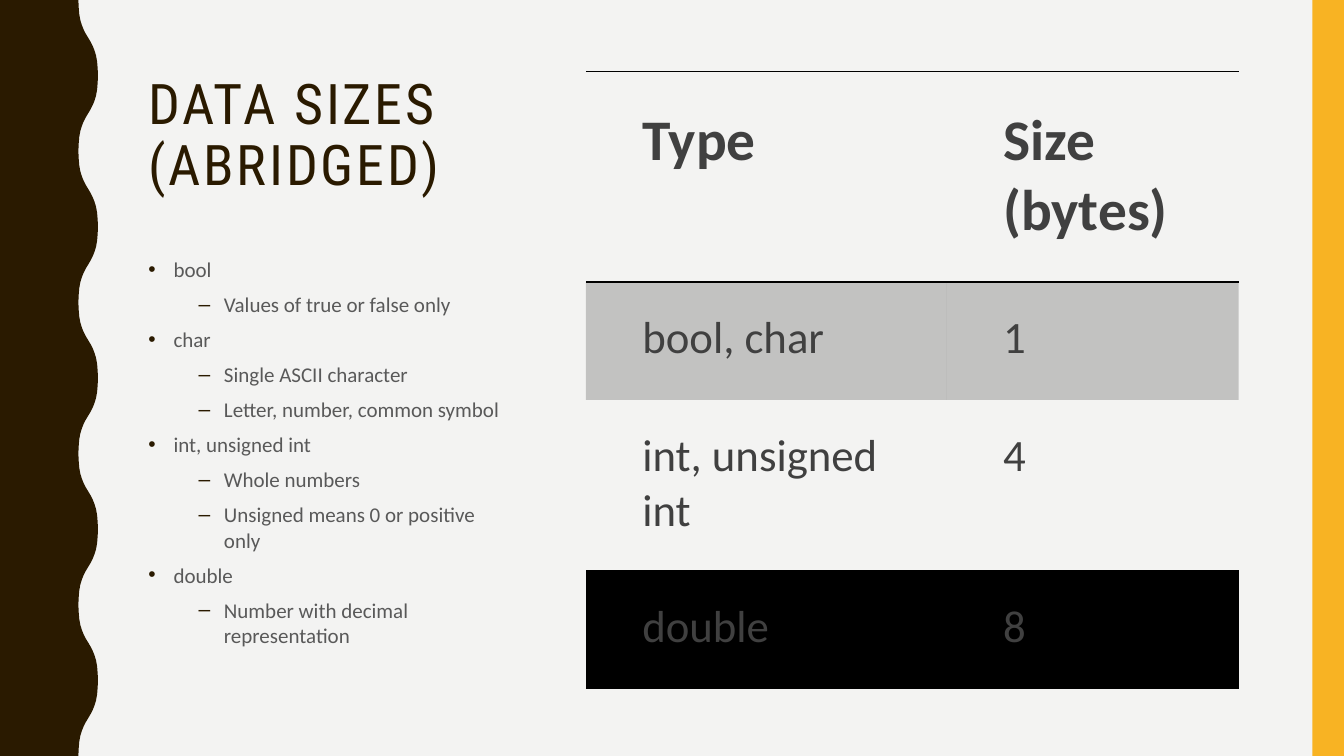
from lxml import etree
from pptx import Presentation
from pptx.dml.color import RGBColor
from pptx.enum import shapes, text
from pptx.oxml import ns
from pptx.util import Pt

PAPER = RGBColor(0xF3, 0xF3, 0xF2)
BROWN = RGBColor(0x2A, 0x1A, 0x00)
GOLD = RGBColor(0xF8, 0xB3, 0x23)
BODY_GREY = RGBColor(0x59, 0x59, 0x59)
TABLE_GREY = RGBColor(0x40, 0x40, 0x40)
BLACK = RGBColor(0, 0, 0)

PAGE_WIDTH, PAGE_HEIGHT = 960, 540
TITLE_FONT, BODY_FONT = "Roboto Condensed", "Calibri"
NO_STYLE = "{2D5ABB26-0587-4C30-8999-92F81FD0307C}"

NOTES = [
    ("bool", ["Values of true or false only"]),
    ("char", ["Single ASCII character", "Letter, number, common symbol"]),
    ("int, unsigned int", ["Whole numbers", "Unsigned means 0 or positive only"]),
    ("double", ["Number with decimal representation"]),
]
SIZES = [
    ("Type", "Size (bytes)"),
    ("bool, char", "1"),
    ("int, unsigned int", "4"),
    ("double", "8"),
]
COLUMN_WIDTHS = [257.8, 208.5]
ROW_HEIGHTS = [150.5, 84.2, 121.7, 84.2]

# First quarter of a wave: steps right and down from its trough
WAVE_QUARTER = [(0, 0), (0.2, 5), (0.6, 10), (1.4, 14.4), (2.5, 18),
                (3.7, 21), (5.2, 24), (7, 27)]
WAVE_DEPTH, HALF_WAVE = 14, 54


def add_child(parent, tag, **attributes):
    return etree.SubElement(parent, ns.qn(tag), attributes)


def paint(shape, color):
    shape.shadow.inherit = False
    shape.fill.solid()
    shape.fill.fore_color.rgb = color
    shape.line.fill.background()


def style_text(paragraph, font_name, size, color, bold=False):
    for span in paragraph.runs:
        span.font.name = font_name
        span.font.size = Pt(size)
        span.font.color.rgb = color
        span.font.bold = bold


def add_text_box(page, left, top, width, height):
    frame = page.shapes.add_textbox(Pt(left), Pt(top), Pt(width), Pt(height)).text_frame
    frame.word_wrap = True
    frame.vertical_anchor = text.MSO_ANCHOR.TOP
    return frame


def add_wave_band(page, left, top, trough, height):
    half = WAVE_QUARTER + [(WAVE_DEPTH - x, HALF_WAVE - y)
                           for x, y in reversed(WAVE_QUARTER[:-1])]
    points = [(trough, 0)]
    for index in range(height // HALF_WAVE):
        start = index * HALF_WAVE
        for x, y in half[1:]:
            # Every second half wave runs back to the trough
            offset = WAVE_DEPTH - x if index % 2 else x
            points.append((trough + offset, start + y))
    points.append((0, height))
    builder = page.shapes.build_freeform(Pt(left), Pt(top))
    builder.add_line_segments([(Pt(left + x), Pt(top + y)) for x, y in points])
    paint(builder.convert_to_shape(), BROWN)


def add_side_bar(page, left, top, width, height):
    bar = page.shapes.add_shape(shapes.MSO_SHAPE.RECTANGLE,
                                Pt(left), Pt(top), Pt(width), Pt(height))
    paint(bar, GOLD)


def add_title(page, left, top, width, height):
    frame = add_text_box(page, left, top, width, height)
    frame.text = "DATA SIZES (ABRIDGED)"
    paragraph = frame.paragraphs[0]
    paragraph.line_spacing = 0.9
    style_text(paragraph, TITLE_FONT, 40, BROWN)
    for span in paragraph.runs:
        span.font._element.set("spc", "200")


def set_bullet(paragraph, symbol, indent):
    properties = paragraph._p.get_or_add_pPr()
    properties.set("marL", str(Pt(indent)))
    properties.set("indent", str(Pt(-18)))
    color = add_child(properties, "a:buClr")
    add_child(color, "a:srgbClr", val=str(BROWN))
    add_child(properties, "a:buFont", typeface="Arial")
    add_child(properties, "a:buChar", char=symbol)


def add_notes_list(page, left, top, width, height):
    frame = add_text_box(page, left, top, width, height)
    lines = []
    for heading, details in NOTES:
        lines.append((heading, 0))
        lines += [(detail, 1) for detail in details]
    frame.text = "\n".join(line for line, level in lines)
    for paragraph, (line, level) in zip(frame.paragraphs, lines):
        paragraph.level = level
        paragraph.space_before = Pt(7)
        style_text(paragraph, BODY_FONT, 15, BODY_GREY)
        set_bullet(paragraph, "–" if level else "•", 54 if level else 18)


def set_borders(cell, ruled_sides):
    properties = cell._tc.get_or_add_tcPr()
    for side in "LRTB":
        width = Pt(1) if side in ruled_sides else 0
        line = add_child(properties, "a:ln" + side, w=str(width))
        if width:
            fill = add_child(line, "a:solidFill")
            add_child(fill, "a:srgbClr", val=str(BLACK))
        else:
            add_child(line, "a:noFill")


def fill_cell(cell, shaded):
    if not shaded:
        cell.fill.background()
        return
    cell.fill.solid()
    cell.fill.fore_color.rgb = BLACK
    color = cell._tc.tcPr.find(".//" + ns.qn("a:srgbClr"))
    add_child(color, "a:alpha", val="20000")


def add_size_table(page, left, top):
    frame = page.shapes.add_table(
        len(SIZES), len(COLUMN_WIDTHS), Pt(left), Pt(top),
        Pt(sum(COLUMN_WIDTHS)), Pt(sum(ROW_HEIGHTS)))
    table = frame.table
    table.horz_banding = False
    table._tbl.tblPr.find(ns.qn("a:tableStyleId")).text = NO_STYLE
    for column, width in zip(table.columns, COLUMN_WIDTHS):
        column.width = Pt(width)
    last = len(SIZES) - 1
    for index, (row, values) in enumerate(zip(table.rows, SIZES)):
        row.height = Pt(ROW_HEIGHTS[index])
        header = index == 0
        inset = Pt(24.4 if header else 20.9)
        sides = "TB" if header else "B" if index == last else ""
        for cell, value in zip(row.cells, values):
            cell.text = value
            cell.margin_left = Pt(40.3)
            cell.margin_right = cell.margin_top = cell.margin_bottom = inset
            style_text(cell.text_frame.paragraphs[0], BODY_FONT,
                       41 if header else 32, TABLE_GREY, header)
            set_borders(cell, sides)
            fill_cell(cell, shaded=index % 2 == 1)


def main():
    deck = Presentation()
    deck.slide_width, deck.slide_height = Pt(PAGE_WIDTH), Pt(PAGE_HEIGHT)
    page = deck.slides.add_slide(deck.slide_layouts[6])
    page.background.fill.solid()
    page.background.fill.fore_color.rgb = PAPER

    # Edge decoration
    add_wave_band(page, 0, 0, 56, PAGE_HEIGHT)
    add_side_bar(page, 937.5, 0, 22.5, PAGE_HEIGHT)

    # Left column, then the table
    add_title(page, 98.9, 51, 266.5, 129)
    add_notes_list(page, 98.9, 180, 266.5, 310)
    add_size_table(page, 418.5, 51)
    deck.save("out.pptx")


if __name__ == "__main__":
    main()
